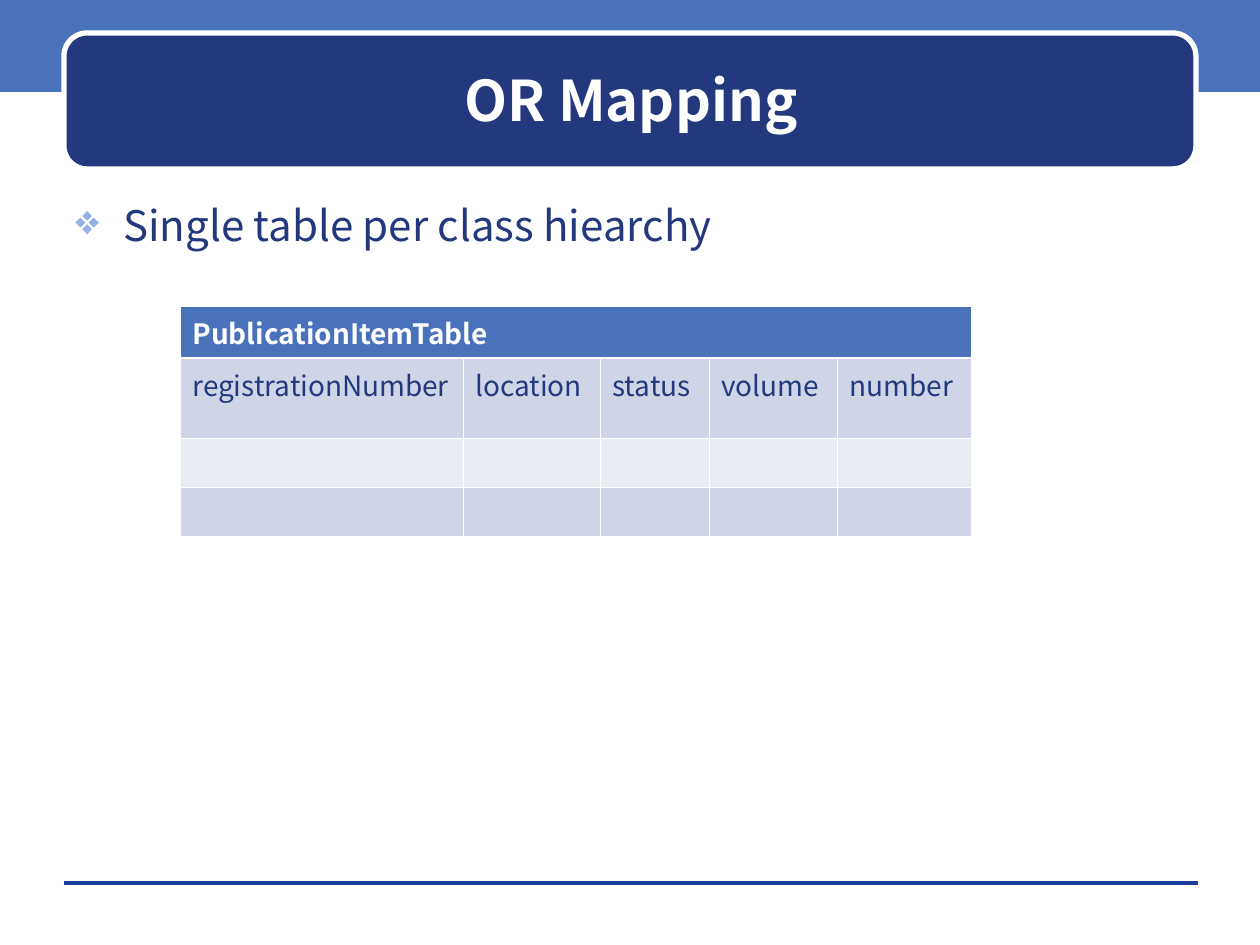
"""Build the OR Mapping slide with its single-table example."""
from dataclasses import dataclass

from lxml import etree
from pptx import Presentation
from pptx import util as u
from pptx.dml.color import RGBColor
from pptx.enum import shapes, text
from pptx.oxml import ns

TITLE = "OR Mapping"
BULLET = "Single table per class hiearchy"
TABLE_NAME = "PublicationItemTable"
COLUMNS = [("registrationNumber", 283), ("location", 137), ("status", 109),
           ("volume", 128), ("number", 134)]
ROW_HEIGHTS = [52, 80, 49, 49]

SLIDE = (1260, 945)
BAND = (0, -4, 1260, 96)
BANNER = (64, 33, 1132, 136)
TITLE_BOX = (76, 44, 1110, 111)
BODY_BOX = (63, 193, 1134, 678)
TABLE_AT = (180, 306)
FOOTER_RULE = (64, 883, 1198, 883)
HANGING = 48


@dataclass(frozen=True)
class Theme:
    font: str = "Noto Sans CJK KR"
    navy: str = "23387D"
    blue: str = "4972BB"
    white: str = "FFFFFF"
    bullet: str = "96B1E6"
    rule: str = "1A3D97"
    bands: tuple = ("CFD5E7", "E9EBF3")
    title_size: int = 32
    body_size: int = 24
    cell_size: int = 16
    banner_line: int = 3
    border: float = 0.45
    header_border: float = 1.47


THEME = Theme()


def px(value):
    return u.Emu(round(value * 914400 / 126))


def place(*lengths):
    return [px(length) for length in lengths]


def paint(fill, color):
    fill.solid()
    fill.fore_color.rgb = RGBColor.from_string(color)


def write(para, words, size, color, bold=False):
    para.text = words
    font = para.font
    font.name, font.size, font.bold = THEME.font, u.Pt(size), bold
    font.color.rgb = RGBColor.from_string(color)


def add_panel(page, kind, box, color):
    panel = page.shapes.add_shape(kind, *place(*box))
    panel.shadow.inherit = False
    paint(panel.fill, color)
    panel.line.fill.background()
    return panel


def add_text(page, box, anchor):
    frame = page.shapes.add_textbox(*place(*box)).text_frame
    frame.word_wrap = True
    frame.vertical_anchor = anchor
    return frame.paragraphs[0]


def add_bullet(para, mark):
    props = para._p.get_or_add_pPr()
    props.set("marL", str(px(HANGING)))
    props.set("indent", str(-px(HANGING)))
    color = etree.SubElement(props, ns.qn("a:buClr"))
    etree.SubElement(color, ns.qn("a:srgbClr"), val=THEME.bullet)
    etree.SubElement(props, ns.qn("a:buChar"), char=mark)


def add_borders(cell, row):
    widths = {"lnL": THEME.border, "lnR": THEME.border,
              "lnT": THEME.header_border if row == 1 else THEME.border,
              "lnB": THEME.header_border if row == 0 else THEME.border}
    props = cell._tc.get_or_add_tcPr()
    for index, (side, width) in enumerate(widths.items()):
        line = etree.Element(ns.qn(f"a:{side}"), w=str(u.Pt(width)))
        fill = etree.SubElement(line, ns.qn("a:solidFill"))
        etree.SubElement(fill, ns.qn("a:srgbClr"), val=THEME.white)
        props.insert(index, line)


def add_grid(page):
    widths = [width for _, width in COLUMNS]
    box = place(*TABLE_AT, sum(widths), sum(ROW_HEIGHTS))
    table = page.shapes.add_table(len(ROW_HEIGHTS), len(COLUMNS), *box).table
    for column, width in zip(table.columns, widths):
        column.width = px(width)
    for row, height in enumerate(ROW_HEIGHTS):
        table.rows[row].height = px(height)
        for index, (name, _) in enumerate(COLUMNS):
            cell = table.cell(row, index)
            paint(cell.fill, THEME.bands[(row - 1) % 2] if row else THEME.blue)
            add_borders(cell, row)
            if row == 1:
                write(cell.text_frame.paragraphs[0], name, THEME.cell_size, THEME.navy)
            else:
                cell.margin_top = cell.margin_bottom = 0
    header = table.cell(0, 0)
    header.merge(table.cell(0, len(COLUMNS) - 1))
    header.vertical_anchor = text.MSO_ANCHOR.MIDDLE
    write(header.text_frame.paragraphs[0], TABLE_NAME, THEME.cell_size, THEME.white, True)


def main():
    deck = Presentation()
    deck.slide_width, deck.slide_height = place(*SLIDE)
    page = deck.slides.add_slide(deck.slide_layouts[6])

    add_panel(page, shapes.MSO_SHAPE.RECTANGLE, BAND, THEME.blue)
    rule = page.shapes.add_connector(shapes.MSO_CONNECTOR.STRAIGHT, *place(*FOOTER_RULE))
    rule.line.color.rgb = RGBColor.from_string(THEME.rule)
    rule.line.width = 0
    etree.SubElement(rule._element.spPr, ns.qn("a:effectLst"))
    banner = add_panel(page, shapes.MSO_SHAPE.ROUNDED_RECTANGLE, BANNER, THEME.navy)
    banner.adjustments[0] = 0.17
    banner.line.color.rgb = RGBColor.from_string(THEME.white)
    banner.line.width = u.Pt(THEME.banner_line)

    title = add_text(page, TITLE_BOX, text.MSO_ANCHOR.MIDDLE)
    title.alignment = text.PP_ALIGN.CENTER
    write(title, TITLE, THEME.title_size, THEME.white, True)
    body = add_text(page, BODY_BOX, text.MSO_ANCHOR.TOP)
    add_bullet(body, "❖")
    write(body, BULLET, THEME.body_size, THEME.navy)
    add_grid(page)
    deck.save("out.pptx")


if __name__ == "__main__":
    main()
